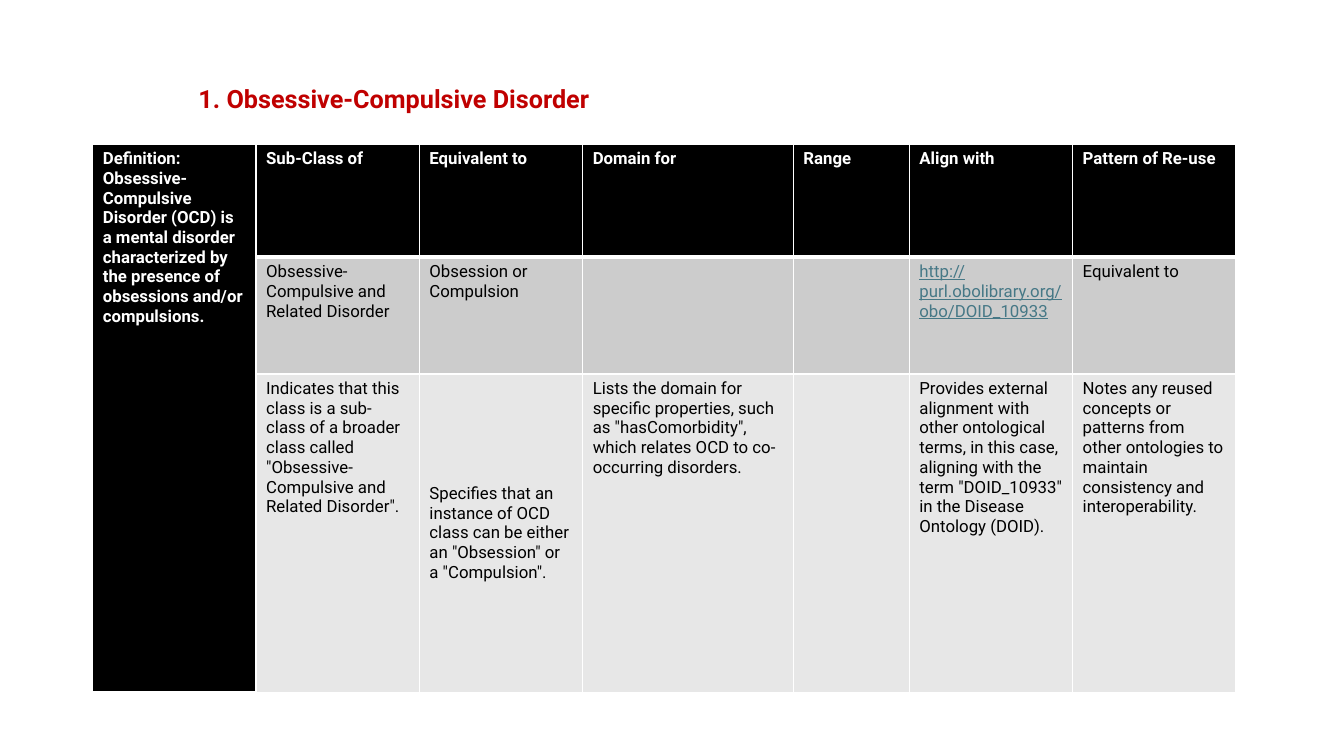
from dataclasses import dataclass

from lxml import etree
from pptx import Presentation
from pptx.dml.color import RGBColor
from pptx.enum.text import MSO_ANCHOR, MSO_AUTO_SIZE
from pptx.oxml.ns import qn
from pptx.util import Inches, Pt

TOP, MIDDLE = MSO_ANCHOR.TOP, MSO_ANCHOR.MIDDLE
FIT_SHAPE = MSO_AUTO_SIZE.SHAPE_TO_FIT_TEXT


@dataclass(frozen=True)
class Theme:
    font: str = "Roboto"
    title_size: int = 18
    cell_size: int = 12
    title: str = "C00000"
    header_text: str = "FFFFFF"
    body_text: str = "000000"
    link: str = "467886"
    border: str = "FFFFFF"
    row_fills: tuple = ("000000", "CCCCCC", "E7E7E7")
    thin: int = 1
    thick: int = 3


THEME = Theme()

COLUMN_WIDTHS = (1.62, 1.62, 1.62, 2.09, 1.15, 1.62, 1.62)
ROW_HEIGHTS = (1.12, 1.16, 3.16)
DEFINITION = (
    "Definition: Obsessive-Compulsive Disorder (OCD) is a mental disorder "
    "characterized by the presence of obsessions and/or compulsions."
)
ROWS = (
    (DEFINITION, "Sub-Class of", "Equivalent to", "Domain for", "Range",
     "Align with", "Pattern of Re-use"),
    ("", "Obsessive-Compulsive and Related Disorder",
     "Obsession or Compulsion", "", "",
     "http://purl.obolibrary.org/obo/DOID_10933", "Equivalent to"),
    ("",
     'Indicates that this class is a sub-class of a broader class called '
     '"Obsessive-Compulsive and Related Disorder".',
     'Specifies that an instance of OCD class can be either an "Obsession" '
     'or a "Compulsion".',
     'Lists the domain for specific properties, such as "hasComorbidity", '
     'which relates OCD to co-occurring disorders.',
     "",
     'Provides external alignment with other ontological terms, in this '
     'case, aligning with the term "DOID_10933" in the Disease Ontology '
     '(DOID).',
     'Notes any reused concepts or patterns from other ontologies to '
     'maintain consistency and interoperability.'),
)
MIDDLE_CELL = (2, 2)


def add_run(p, text, color, size, **styles):
    r = p.add_run()
    r.text = text
    formats = {"name": THEME.font, "size": Pt(size), **styles}
    for name, value in formats.items():
        setattr(r.font, name, value)
    r.font.color.rgb = RGBColor.from_string(color)


def add_title(slide, text):
    sp = slide.shapes.add_textbox(
        Inches(1.87), Inches(0.78), Inches(4.22), Inches(0.4))
    tf = sp.text_frame
    tf.word_wrap = False
    tf.auto_size = FIT_SHAPE
    add_run(tf.paragraphs[0], text, THEME.title, THEME.title_size, bold=True)


def set_borders(cell, **widths):
    """Draw the cell's sides, given as L, R, T and B in points."""
    tc_pr = cell._tc.get_or_add_tcPr()
    for side, width in widths.items():
        ln = etree.SubElement(tc_pr, qn(f"a:ln{side}"), w=str(Pt(width)))
        fill = etree.SubElement(ln, qn("a:solidFill"))
        etree.SubElement(fill, qn("a:srgbClr"), val=THEME.border)


def fill_cell(cell, row, text):
    thin, thick = THEME.thin, THEME.thick
    set_borders(cell, L=thin, R=thin,
                T=thick if row == 1 else thin,
                B=thick if row == 0 else thin)
    cell.fill.solid()
    cell.fill.fore_color.rgb = RGBColor.from_string(THEME.row_fills[row])
    if not text:
        return
    is_header = row == 0
    is_link = text.startswith("http")
    color = THEME.header_text if is_header else THEME.body_text
    add_run(cell.text_frame.paragraphs[0], text,
            THEME.link if is_link else color, THEME.cell_size,
            bold=is_header, underline=is_link)


def add_ontology_table(slide):
    frame = slide.shapes.add_table(
        len(ROWS), len(COLUMN_WIDTHS), Inches(0.92), Inches(1.43),
        Inches(sum(COLUMN_WIDTHS)), Inches(sum(ROW_HEIGHTS)))
    table = frame.table
    for column, width in zip(table.columns, COLUMN_WIDTHS):
        column.width = Inches(width)
    for row, height in zip(table.rows, ROW_HEIGHTS):
        row.height = Inches(height)
    for i, texts in enumerate(ROWS):
        for j, text in enumerate(texts):
            cell = table.cell(i, j)
            fill_cell(cell, i, text)
            cell.vertical_anchor = MIDDLE if (i, j) == MIDDLE_CELL else TOP
    table.cell(0, 0).merge(table.cell(len(ROWS) - 1, 0))


def main():
    prs = Presentation()
    prs.slide_width, prs.slide_height = Inches(13.33), Inches(7.5)
    slide = prs.slides.add_slide(prs.slide_layouts[6])
    add_title(slide, "1. Obsessive-Compulsive Disorder")
    add_ontology_table(slide)
    prs.save("out.pptx")


if __name__ == "__main__":
    main()
